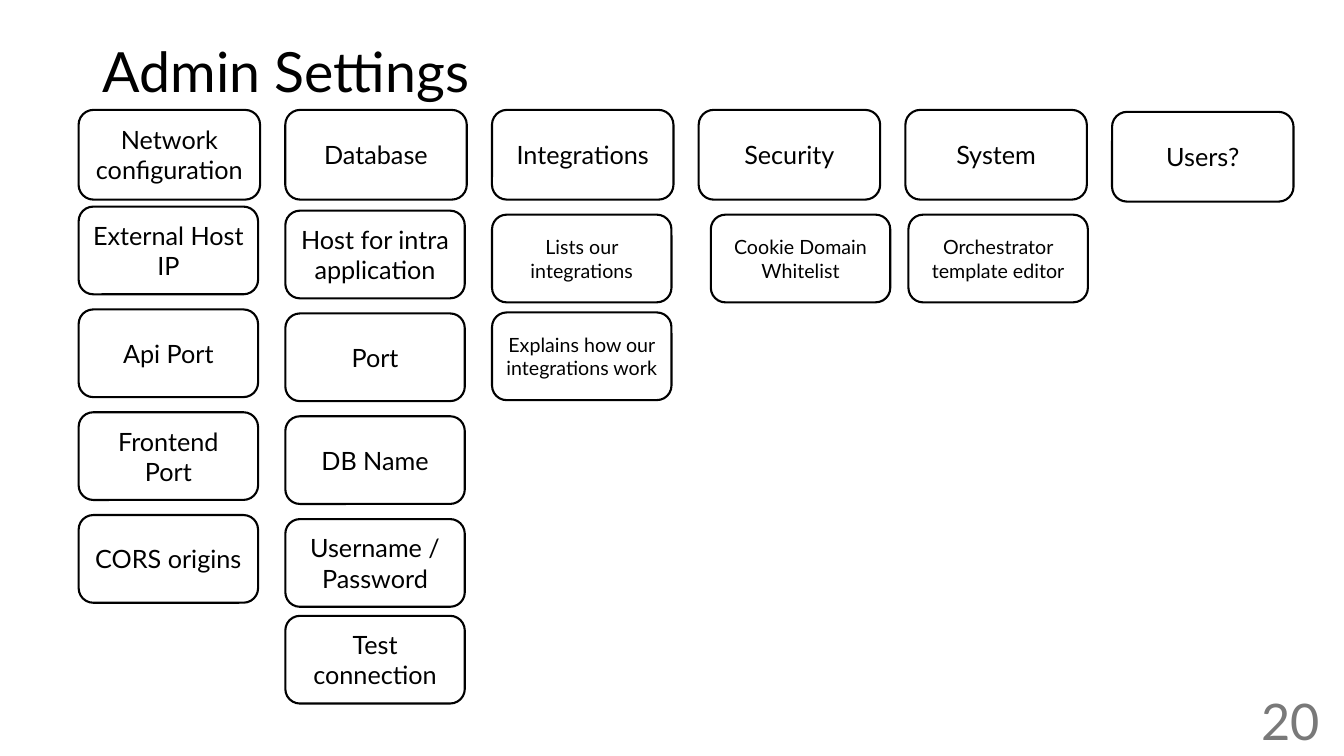
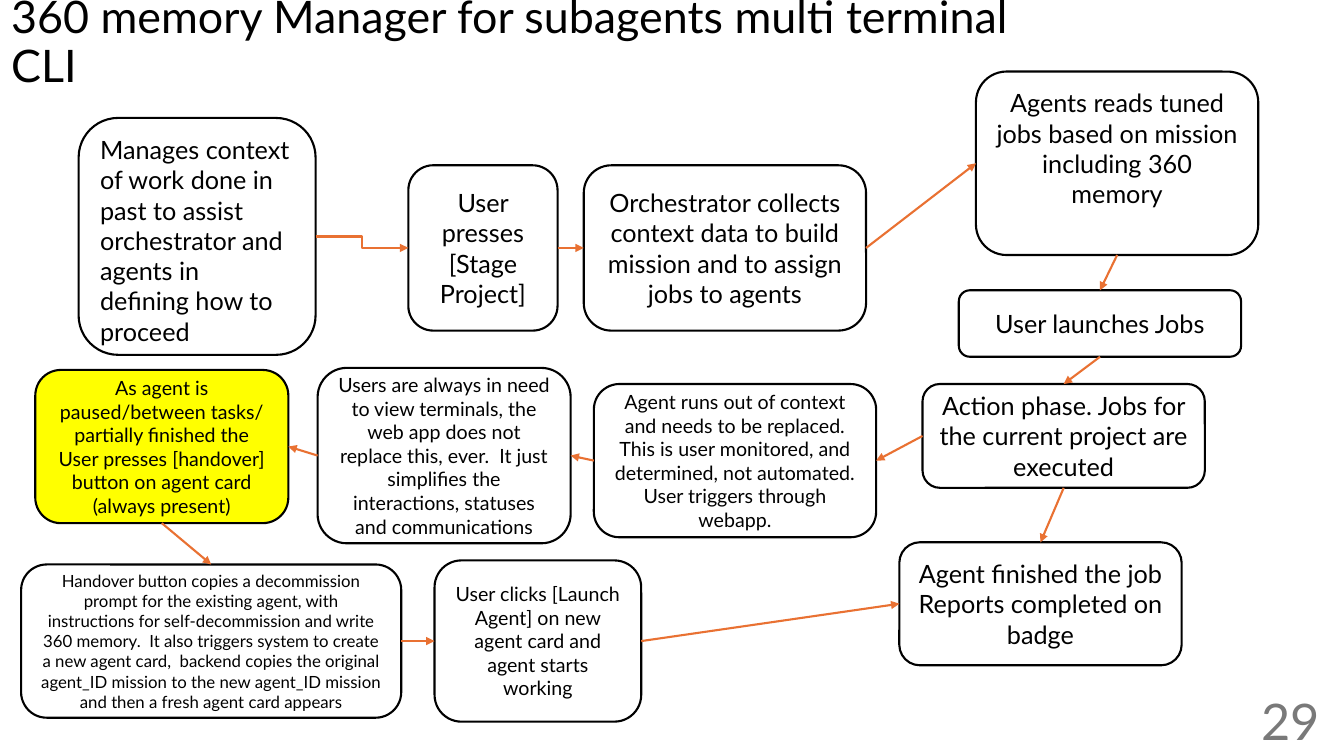
from lxml import etree
from pptx import Presentation
from pptx.dml.color import RGBColor
from pptx.enum.shapes import MSO_CONNECTOR as LINK, MSO_SHAPE as SHAPE
from pptx.enum.text import MSO_ANCHOR as ANCHOR, MSO_AUTO_SIZE as FIT, PP_ALIGN as ALIGN
from pptx.oxml.ns import qn
from pptx.util import Inches, Pt

FONT = "Lato"
BLACK = RGBColor(0x00, 0x00, 0x00)
WHITE = RGBColor(0xFF, 0xFF, 0xFF)
YELLOW = RGBColor(0xFF, 0xFF, 0x00)
ORANGE = RGBColor(0xE9, 0x71, 0x32)
GREY = RGBColor(0x79, 0x79, 0x79)


def set_text(shape, text, size, align, color=BLACK):
    frame = shape.text_frame
    frame.text = text
    frame.word_wrap = True
    frame.auto_size = FIT.NONE
    frame.vertical_anchor = ANCHOR.MIDDLE
    for para in frame.paragraphs:
        para.alignment = align
        for run in para.runs:
            run.font.name = FONT
            run.font.size = Pt(size)
            run.font.color.rgb = color


def add_box(slide, place, text, size, fill=WHITE):
    """Add an outlined rounded box; place is left, top, width, height in inches."""
    box = slide.shapes.add_shape(SHAPE.ROUNDED_RECTANGLE, *map(Inches, place))
    box.shadow.inherit = False
    box.fill.solid()
    box.fill.fore_color.rgb = fill
    box.line.color.rgb = BLACK
    box.line.width = Pt(1.5)
    set_text(box, text, size, ALIGN.CENTER)
    return box


prs = Presentation()
prs.slide_width, prs.slide_height = Inches(13.33), Inches(7.5)

# Titles and page numbers
pages = [
    ("Admin Settings", 39.6, (0.92, 0.4, 11.5, 0.68), "20"),
    ("360 memory Manager for subagents multi terminal CLI", 32,
     (0.01, 0.09, 10.18, 0.68), "29"),
]
slides = []
for name, size, place, number in pages:
    slide = prs.slides.add_slide(prs.slide_layouts[5])
    title = slide.shapes.title
    title.left, title.top, title.width, title.height = map(Inches, place)
    set_text(title, name, size, ALIGN.LEFT)
    title.text_frame.paragraphs[0].line_spacing = 0.9
    label = slide.shapes.add_textbox(Inches(10.19), Inches(6.95), Inches(3), Inches(0.4))
    set_text(label, number, 36, ALIGN.RIGHT, GREY)
    slides.append(slide)
admin, memory = slides

# Settings: a row of headings with stacks of entries below
heads = ["Network configuration", "Database", "Integrations", "Security", "System", "Users?"]
for col, text in enumerate(heads):
    top = 1.11 if text == "Users?" else 1.09
    add_box(admin, (0.78 + 2.05 * col, top, 1.8, 0.89), text, 18)

# Left, first top, step, text size, entries
stacks = [
    (0.78, 2.05, 1.02, 18, ["External Host IP", "Api Port", "Frontend Port", "CORS origins"]),
    (2.83, 2.09, 1.02, 18, ["Host for intra application", "Port", "DB Name",
                            "Username / Password"]),
    (2.83, 6.11, 0, 18, ["Test connection"]),
    (4.88, 2.13, 0.97, 14, ["Lists our integrations", "Explains how our integrations work"]),
    (7.05, 2.13, 0, 14, ["Cookie Domain Whitelist"]),
    (9.01, 2.13, 0, 14, ["Orchestrator template editor"]),
]
for left, top, step, size, entries in stacks:
    for row, text in enumerate(entries):
        add_box(admin, (left, top + step * row, 1.78, 0.87), text, size)

# Memory manager: the steps of the flow
steps = {
    "context": ((0.78, 1.17, 2.35, 2.35), 18,
                "Manages context of work done in past to assist orchestrator and agents "
                "in defining how to proceed"),
    "stage": ((4.05, 1.64, 1.48, 1.64), 18, "User presses [Stage Project]"),
    "collect": ((5.79, 1.64, 2.8, 1.64), 18,
                "Orchestrator collects context data to build mission and to assign jobs "
                "to agents"),
    "read": ((9.68, 0.71, 2.8, 1.82), 18,
             "Agents reads tuned jobs based on mission including 360 memory"),
    "launch": ((9.51, 2.88, 2.8, 0.66), 18, "User launches Jobs"),
    "action": ((9.15, 3.81, 2.8, 1.03), 18,
               "Action phase. Jobs for the current project are executed"),
    "done": ((8.92, 5.38, 2.8, 1.22), 18,
             "Agent finished the job\nReports completed on badge"),
    "replace": ((5.89, 3.81, 2.8, 1.52), 14,
                "Agent runs out of context and needs to be replaced. This is user "
                "monitored, and determined, not automated. User triggers through webapp."),
    "view": ((3.15, 3.65, 2.51, 1.74), 14,
             "Users are always in need to view terminals, the web app does not replace "
             "this, ever.  It just simplifies the interactions, statuses and "
             "communications"),
    "pause": ((0.35, 3.67, 2.51, 1.52), 14,
              "As agent is paused/between tasks/ partially finished the User presses "
              "[handover] button on agent card (always present)"),
    "handover": ((0.21, 5.6, 3.77, 1.52), 12,
                 "Handover button copies a decommission prompt for the existing agent, "
                 "with instructions for self-decommission and write 360 memory.  It also "
                 "triggers system to create a new agent card,  backend copies the "
                 "original agent_ID mission to the new agent_ID mission and then a fresh "
                 "agent card appears"),
    "restart": ((4.31, 5.56, 2.05, 1.6), 14,
                "User clicks [Launch Agent] on new agent card and agent starts working"),
}
boxes = {}
for key, (place, size, text) in steps.items():
    boxes[key] = add_box(memory, place, text, size, YELLOW if key == "pause" else WHITE)

intro = boxes["context"].text_frame
intro.vertical_anchor = ANCHOR.TOP
intro.paragraphs[0].alignment = ALIGN.LEFT
boxes["read"].text_frame.margin_bottom = Inches(0.35)

# Arrows between sides: 0 top, 1 left, 2 bottom, 3 right
arrows = [
    ("context", 3, "stage", 1),
    ("stage", 3, "collect", 1),
    ("collect", 3, "read", 1),
    ("read", 2, "launch", 0),
    ("launch", 2, "action", 0),
    ("action", 2, "done", 0),
    ("action", 1, "replace", 3),
    ("replace", 1, "view", 3),
    ("view", 1, "pause", 3),
    ("pause", 2, "handover", 0),
    ("handover", 3, "restart", 1),
    ("restart", 3, "done", 1),
]
for start, out, end, into in arrows:
    bent = start == "context"
    arrow = memory.shapes.add_connector(LINK.ELBOW if bent else LINK.STRAIGHT, 0, 0, 0, 0)
    arrow.begin_connect(boxes[start], out)
    arrow.end_connect(boxes[end], into)
    arrow.line.color.rgb = ORANGE
    arrow.line.width = Pt(2 if bent else 1.5)
    props = arrow._element.spPr
    etree.SubElement(props.find(qn("a:ln")), qn("a:tailEnd"), type="triangle")
    etree.SubElement(props, qn("a:effectLst"))

prs.save("out.pptx")
